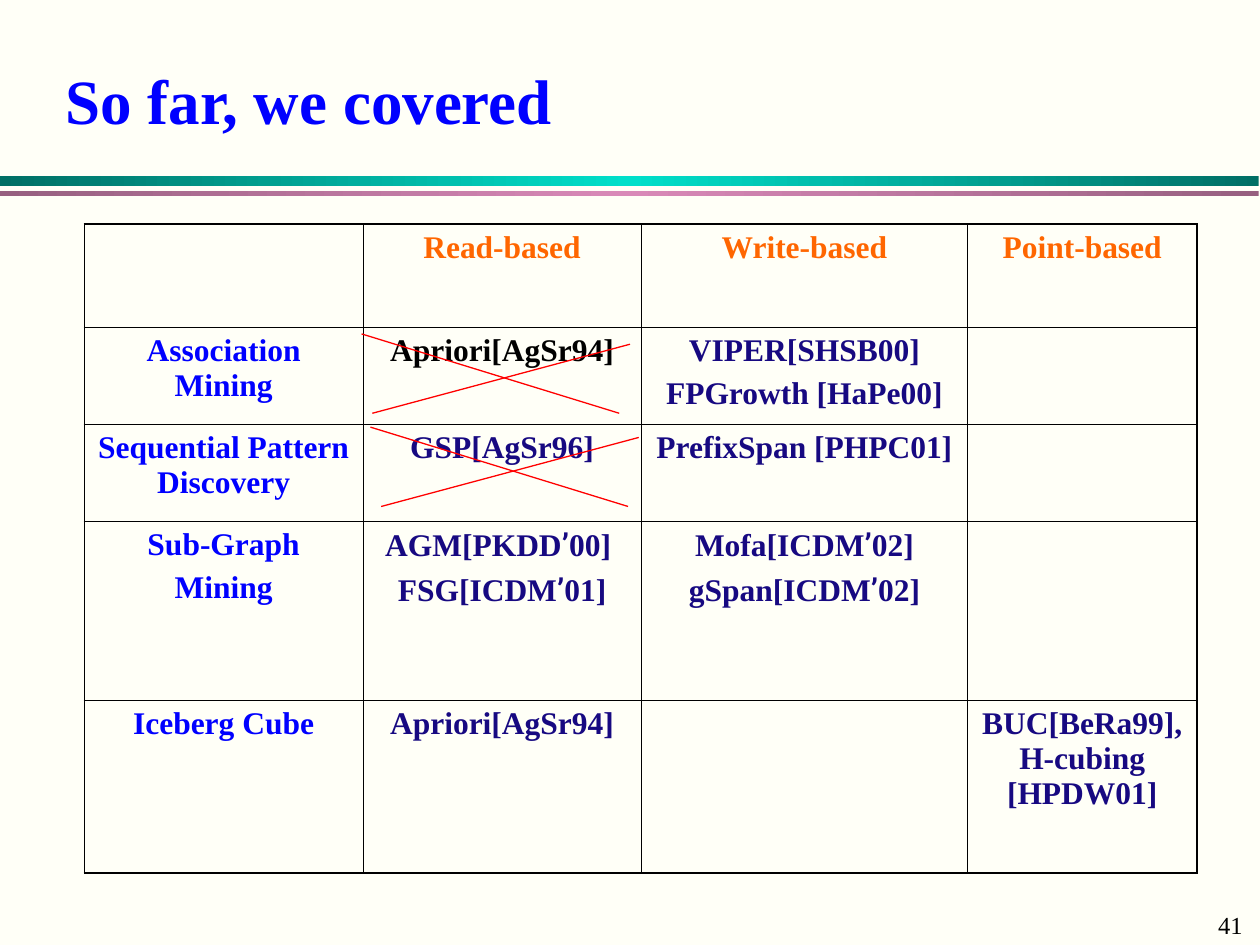
from copy import deepcopy
from dataclasses import dataclass
from itertools import accumulate

from lxml.etree import SubElement
from pptx import Presentation
from pptx.dml.color import RGBColor
from pptx.enum.shapes import MSO_CONNECTOR as Connector, MSO_SHAPE as Shape
from pptx.enum.text import MSO_ANCHOR as Anchor, PP_ALIGN as Align
from pptx.oxml.ns import qn
from pptx.util import Inches, Pt

COLORS = {
    "background": "FFFFF7", "black": "000000", "blue": "0000FF",
    "navy": "170981", "orange": "FF6600", "red": "FF0000",
    "teal": "006F65", "aqua": "00DFCA", "plum": "976080", "pink": "D989B8",
}
SERIF = "Times New Roman"
THIN, THICK = 0.45, 1.08
COLUMNS = [2.21, 2.21, 2.59, 1.82]
ROWS = [0.82, 0.77, 0.77, 1.42, 1.37]
METHODS = [
    ["", "Read-based", "Write-based", "Point-based"],
    ["Association Mining", "Apriori[AgSr94]", "VIPER[SHSB00]\nFPGrowth [HaPe00]", ""],
    ["Sequential Pattern Discovery", "GSP[AgSr96]", "PrefixSpan [PHPC01]", ""],
    ["Sub-Graph\nMining", "AGM[PKDD’00] \nFSG[ICDM’01]", "Mofa[ICDM’02]\ngSpan[ICDM’02]", ""],
    ["Iceberg Cube", "Apriori[AgSr94]", "", "BUC[BeRa99], H-cubing [HPDW01]"],
]


@dataclass
class Box:
    left: float
    top: float
    width: float
    height: float

    def emu(self):
        return [Inches(value) for value in (self.left, self.top, self.width, self.height)]

    def point(self, across, down):
        return Inches(self.left + across * self.width), Inches(self.top + down * self.height)


def color(name):
    return RGBColor.from_string(COLORS[name])


def style_font(font, size, color_name, bold=False, name=SERIF):
    font.name = name
    font.size = Pt(size)
    font.bold = bold
    font.color.rgb = color(color_name)


def add_title(slide, box, text):
    title = slide.shapes.title
    title.left, title.top, title.width, title.height = box.emu()
    frame = title.text_frame
    frame.text = text
    frame.vertical_anchor = Anchor.MIDDLE
    paragraph = frame.paragraphs[0]
    paragraph.alignment = Align.LEFT
    style_font(paragraph.font, 36, "blue", True)


def add_band(slide, box, edge, middle):
    band = slide.shapes.add_shape(Shape.RECTANGLE, *box.emu())
    band.shadow.inherit = False
    band.line.fill.background()
    band.fill.gradient()
    band.fill.gradient_angle = 0
    stop_list = band.fill._fill._gradFill.gsLst
    stop_list.insert(1, deepcopy(stop_list[0]))
    for stop, position, name in zip(band.fill.gradient_stops, (0, 0.5, 1), (edge, middle, edge)):
        stop.position = position
        stop.color.rgb = color(name)


def add_page_number(slide, box, number):
    frame = slide.shapes.add_textbox(*box.emu()).text_frame
    frame.word_wrap = True
    frame.text = number
    style_font(frame.paragraphs[0].font, 14, "black")


def set_borders(cell, widths):
    properties = cell._tc.get_or_add_tcPr()
    for side, width in widths.items():
        line = SubElement(properties, qn(f"a:ln{side}"), w=str(Pt(width)))
        fill = SubElement(line, qn("a:solidFill"))
        SubElement(fill, qn("a:srgbClr"), val=COLORS["black"])


def fill_cell(cell, text, color_name):
    cell.fill.background()
    frame = cell.text_frame
    for index, line in enumerate(text.split("\n")):
        paragraph = frame.add_paragraph() if index else frame.paragraphs[0]
        paragraph.alignment = Align.CENTER
        if index:
            paragraph.space_before = Pt(4.5)
        before, mark, after = line.partition("’")
        for part, name in ((before, SERIF), (mark, "Roboto"), (after, SERIF)):
            if part:
                run = paragraph.add_run()
                run.text = part
                style_font(run.font, 18, color_name, True, name)


def cell_color(row, column):
    if row == 0:
        return "orange"
    if column == 0:
        return "blue"
    return "black" if (row, column) == (1, 1) else "navy"


def add_methods_table(slide, box):
    table = slide.shapes.add_table(len(ROWS), len(COLUMNS), *box.emu()).table
    table.first_row = table.horz_banding = False
    for column, width in zip(table.columns, COLUMNS):
        column.width = Inches(width)
    for row, height in zip(table.rows, ROWS):
        row.height = Inches(height)
    last_row, last_column = len(ROWS) - 1, len(COLUMNS) - 1
    for row, texts in enumerate(METHODS):
        for column, text in enumerate(texts):
            cell = table.cell(row, column)
            outer = {"L": column == 0, "R": column == last_column,
                     "T": row == 0, "B": row == last_row}
            set_borders(cell, {side: THICK if edge else THIN for side, edge in outer.items()})
            fill_cell(cell, text, cell_color(row, column))


def add_cross(slide, box):
    for start, end in (((0.04, 1), (1, 0.13)), ((0.96, 1), (0, 0))):
        line = slide.shapes.add_connector(Connector.STRAIGHT, *box.point(*start), *box.point(*end))
        line.line.color.rgb = color("red")
        line.line.width = Pt(0.75)
        SubElement(line._element.spPr, qn("a:effectLst"))


def build_slide(presentation):
    slide = presentation.slides.add_slide(presentation.slide_layouts[5])
    slide.background.fill.solid()
    slide.background.fill.fore_color.rgb = color("background")
    add_band(slide, Box(0, 1.4, 9.99, 0.08), "teal", "aqua")
    add_band(slide, Box(0, 1.52, 9.99, 0.04), "plum", "pink")
    add_page_number(slide, Box(9.57, 7.17, 0.43, 0.34), "41")
    add_title(slide, Box(0.42, 0.42, 9.17, 0.73), "So far, we covered")
    table_box = Box(0.67, 1.78, sum(COLUMNS), sum(ROWS))
    add_methods_table(slide, table_box)
    row_tops = list(accumulate(ROWS, initial=table_box.top))
    cell_left = table_box.left + COLUMNS[0]
    for row, shift, drop in ((1, -0.01, 0.05), (2, 0.06, 0.02)):
        add_cross(slide, Box(cell_left + shift, row_tops[row] + drop, 2.13, 0.63))


def main():
    presentation = Presentation()
    presentation.slide_width = Inches(10)
    presentation.slide_height = Inches(7.5)
    build_slide(presentation)
    presentation.save("out.pptx")


if __name__ == "__main__":
    main()
